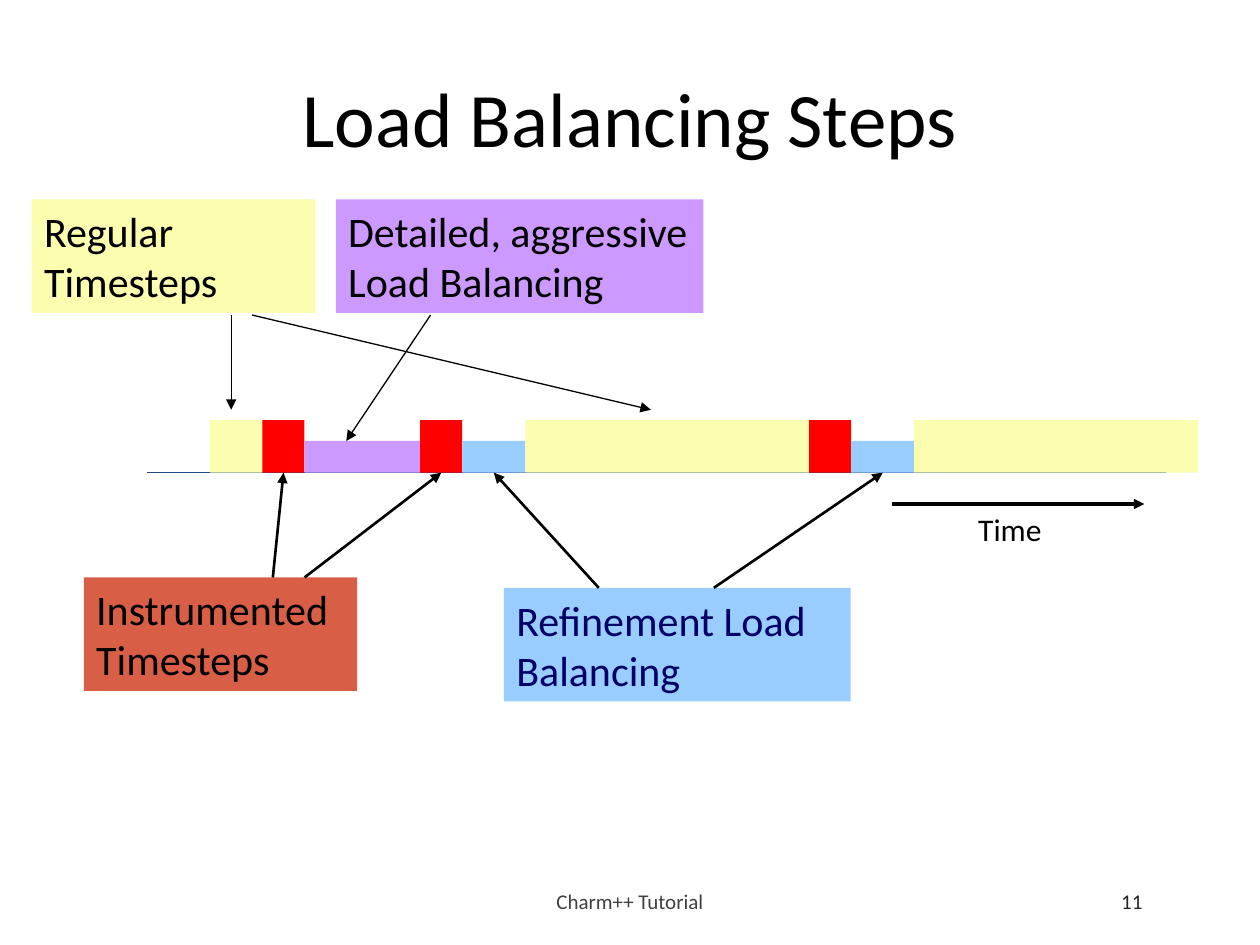
"""Build the load balancing timeline slide."""
from dataclasses import dataclass
from typing import Any, Optional

import pptx
import pptx.dml.color
import pptx.enum.shapes
import pptx.enum.text
import pptx.oxml
import pptx.oxml.ns
import pptx.util

Cm = pptx.util.Cm
Align = pptx.enum.text.PP_ALIGN
Anchor = pptx.enum.text.MSO_ANCHOR


@dataclass(frozen=True)
class Theme:
    """Colours, font and sizes in points."""
    font: str = "Calibri"
    black: str = "000000"
    navy: str = "000066"
    axis: str = "1F497D"
    footer: str = "404040"
    number: str = "262626"
    regular: str = "FAFEAE"
    instrumented: str = "FF0000"
    instrumented_label: str = "D85E46"
    aggressive: str = "CC99FF"
    refinement: str = "99CCFF"
    title_size: int = 44
    label_size: int = 24
    time_size: int = 18
    footer_size: int = 12
    thin: float = 0.75
    medium: float = 1.5
    thick: float = 2


@dataclass(frozen=True)
class Box:
    """A rectangle in centimetres."""
    left: float
    top: float
    width: float
    height: float

    def emu(self) -> tuple:
        """Return the four lengths for python-pptx."""
        return Cm(self.left), Cm(self.top), Cm(self.width), Cm(self.height)


@dataclass(frozen=True)
class Step:
    """One phase on the timeline."""
    width: float
    height: float
    fill: str


@dataclass(frozen=True)
class Label:
    """A filled box that names a kind of step."""
    text: str
    box: Box
    fill: str
    color: str


@dataclass(frozen=True)
class Arrow:
    """An arrow, optionally ending under the step with the given index."""
    start: tuple
    end: tuple
    width: float
    step: Optional[int] = None


T = Theme()
BASELINE = 9.53
TIMELINE_LEFT = 4.23
TALL, LOW = 1.06, 0.64

REGULAR = Step(5.72, TALL, T.regular)
INSTRUMENTED = Step(0.85, TALL, T.instrumented)
REFINEMENT = Step(1.27, LOW, T.refinement)
STEPS = [
    Step(1.06, TALL, T.regular),
    INSTRUMENTED,
    Step(2.33, LOW, T.aggressive),
    INSTRUMENTED, REFINEMENT, REGULAR,
    INSTRUMENTED, REFINEMENT, REGULAR,
]
LABELS = [
    Label("Regular Timesteps", Box(0.64, 4.02, 5.72, 2.29), T.regular, T.black),
    Label("Instrumented Timesteps", Box(1.69, 11.64, 5.51, 2.29),
          T.instrumented_label, T.black),
    Label("Detailed, aggressive Load Balancing", Box(6.77, 4.02, 7.41, 2.29),
          T.aggressive, T.black),
    Label("Refinement Load Balancing", Box(10.16, 11.85, 6.99, 2.29),
          T.refinement, T.navy),
]
ARROWS = [
    Arrow((4.66, 6.35), (4.66, 8.26), T.thin),
    Arrow((5.08, 6.35), (13.12, 8.26), T.thin),
    Arrow((8.68, 6.35), (6.98, 8.89), T.thin),
    Arrow((5.5, 11.64), (5.71, BASELINE), T.medium, 1),
    Arrow((6.14, 11.64), (8.89, BASELINE), T.medium, 3),
    Arrow((12.07, 11.85), (9.95, BASELINE), T.medium, 4),
    Arrow((14.39, 11.85), (17.78, BASELINE), T.medium, 7),
    Arrow((17.99, 10.16), (23.07, 10.16), T.thick),
]


def rgb(color: str) -> pptx.dml.color.RGBColor:
    """Turn a hex string into a colour."""
    return pptx.dml.color.RGBColor.from_string(color)


def write(sp: Any, text: str, *, size: float, color: str = T.black,
          align: Any = Align.LEFT, anchor: Any = Anchor.TOP) -> None:
    """Put formatted, wrapping text into a shape."""
    tf = sp.text_frame
    tf.word_wrap = True
    tf.vertical_anchor = anchor
    p = tf.paragraphs[0]
    p.alignment = align
    r = p.add_run()
    r.text = text
    r.font.name = T.font
    r.font.size = pptx.util.Pt(size)
    r.font.color.rgb = rgb(color)


def add_text(s: Any, text: str, box: Box, **fmt: Any) -> None:
    """Add a text box."""
    write(s.shapes.add_textbox(*box.emu()), text, **fmt)


def add_rect(s: Any, box: Box, fill: str) -> Any:
    """Add a filled rectangle without outline."""
    sp = s.shapes.add_shape(pptx.enum.shapes.MSO_SHAPE.RECTANGLE, *box.emu())
    sp.shadow.inherit = False
    sp.fill.solid()
    sp.fill.fore_color.rgb = rgb(fill)
    sp.line.fill.background()
    return sp


def add_line(s: Any, start: tuple, end: tuple, width: float,
             color: str = T.black, head: bool = False) -> Any:
    """Add a straight line, with an arrowhead at its end if asked."""
    cx = s.shapes.add_connector(pptx.enum.shapes.MSO_CONNECTOR.STRAIGHT,
                                *(Cm(v) for v in start + end))
    cx.line.color.rgb = rgb(color)
    cx.line.width = pptx.util.Pt(width)
    ns = pptx.oxml.ns.nsdecls("a")
    sp_pr = cx._element.spPr
    if head:
        sp_pr.get_or_add_ln().append(
            pptx.oxml.parse_xml(f'<a:tailEnd {ns} type="triangle"/>'))
    sp_pr.append(pptx.oxml.parse_xml(f"<a:effectLst {ns}/>"))
    return cx


def add_steps(s: Any) -> list:
    """Stand the steps side by side on the baseline."""
    bars, left = [], TIMELINE_LEFT
    for step in STEPS:
        box = Box(left, BASELINE - step.height, step.width, step.height)
        bars.append(add_rect(s, box, step.fill))
        left += step.width
    return bars


def main() -> None:
    """Build and save the slide."""
    prs = pptx.Presentation()
    prs.slide_width, prs.slide_height = Cm(25.4), Cm(19.05)
    s = prs.slides.add_slide(prs.slide_layouts[6])
    add_text(s, "Load Balancing Steps", Box(1.27, 0.76, 22.86, 3.18),
             size=T.title_size, align=Align.CENTER, anchor=Anchor.MIDDLE)
    add_line(s, (2.96, BASELINE), (23.5, BASELINE), T.thin, T.axis)
    bars = add_steps(s)
    for label in LABELS:
        write(add_rect(s, label.box, label.fill), label.text,
              size=T.label_size, color=label.color)
    for arrow in ARROWS:
        cx = add_line(s, arrow.start, arrow.end, arrow.width, head=True)
        if arrow.step is not None:
            cx.end_connect(bars[arrow.step], 2)
    add_text(s, "Time", Box(19.47, 10.16, 2.54, 1.02), size=T.time_size)
    add_text(s, "Charm++ Tutorial", Box(8.68, 17.65, 8.04, 1.02), size=T.footer_size,
             color=T.footer, align=Align.CENTER, anchor=Anchor.MIDDLE)
    add_text(s, "11", Box(18.2, 17.65, 5.08, 1.02), size=T.footer_size,
             color=T.number, align=Align.RIGHT, anchor=Anchor.MIDDLE)
    prs.save("out.pptx")


if __name__ == "__main__":
    main()
